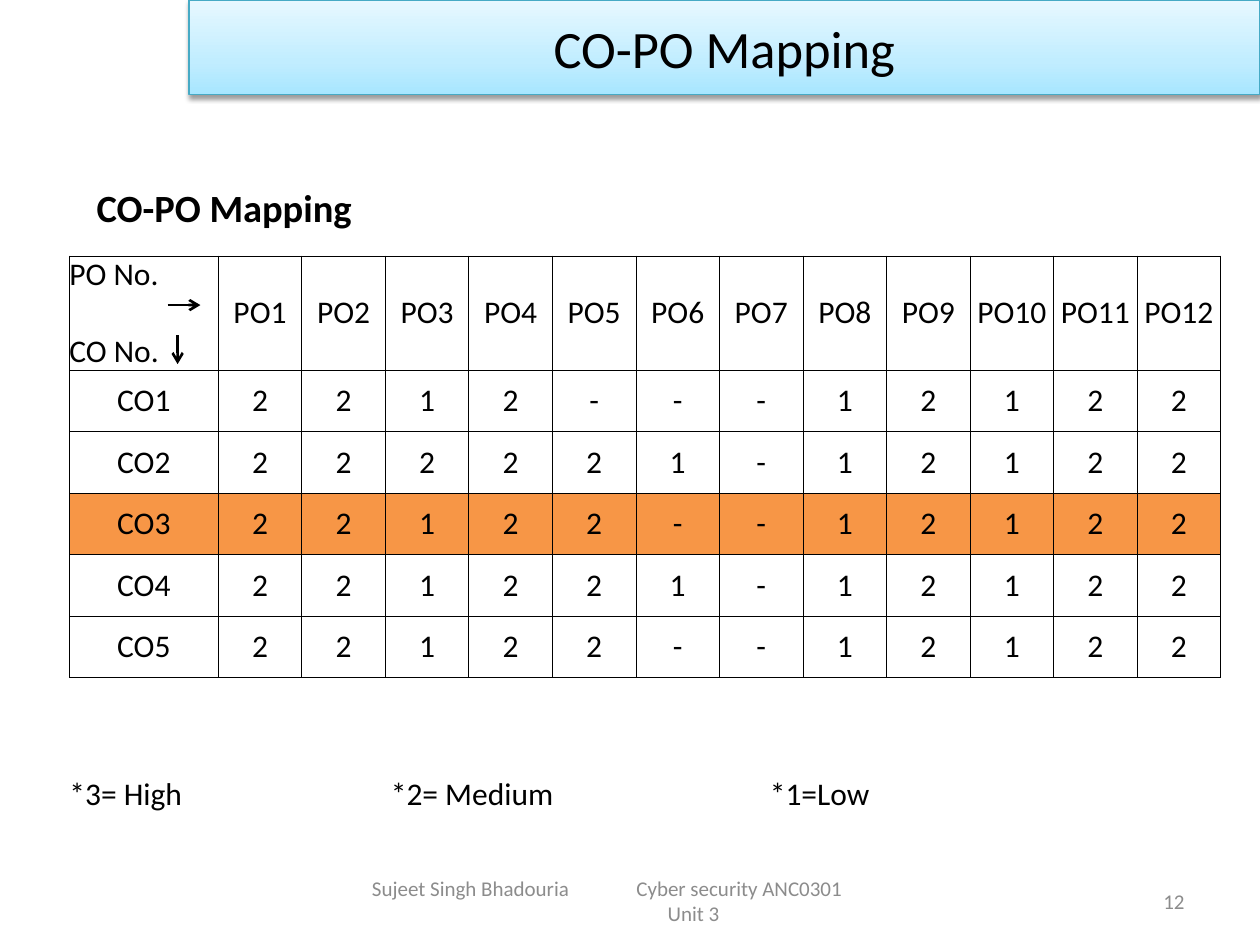
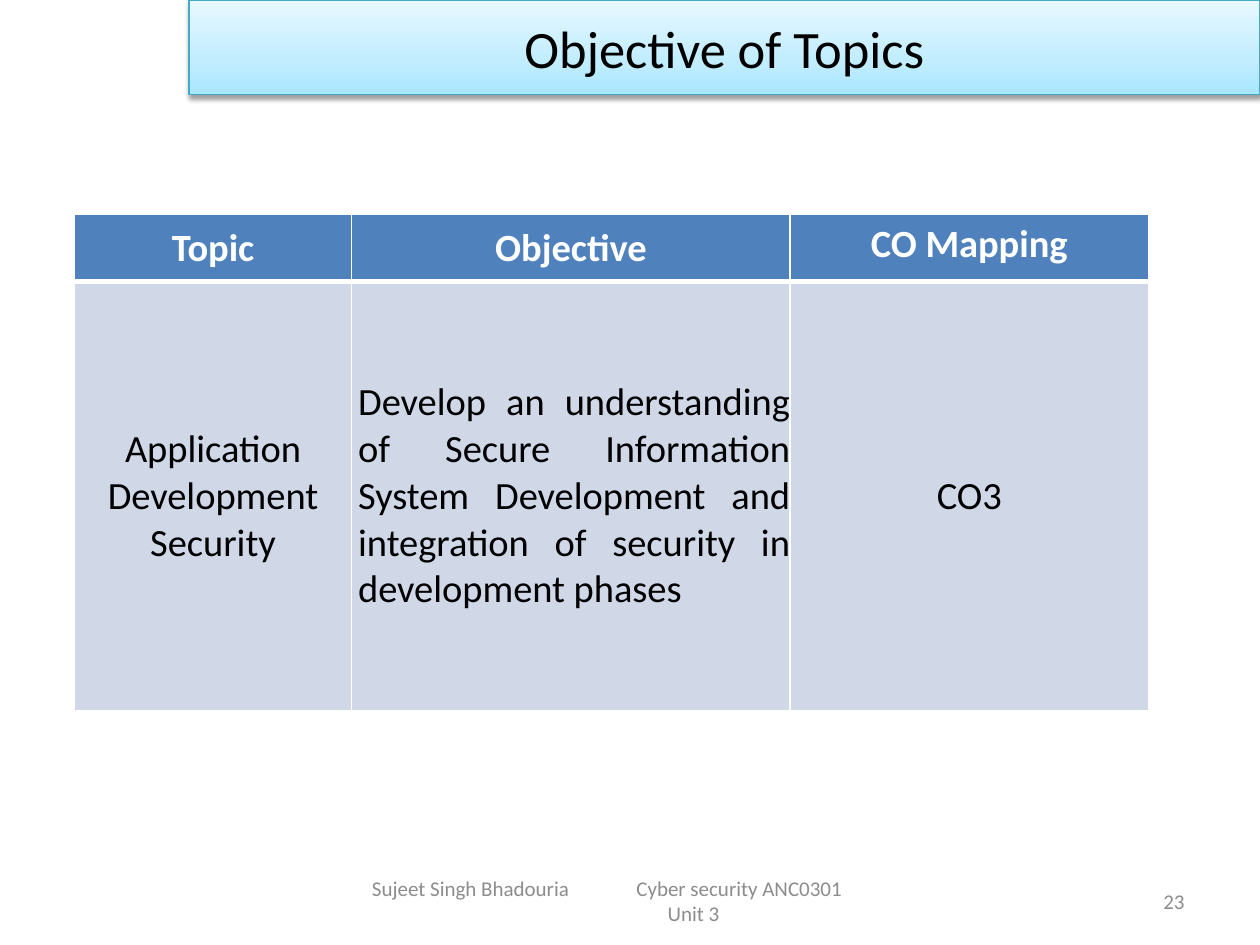
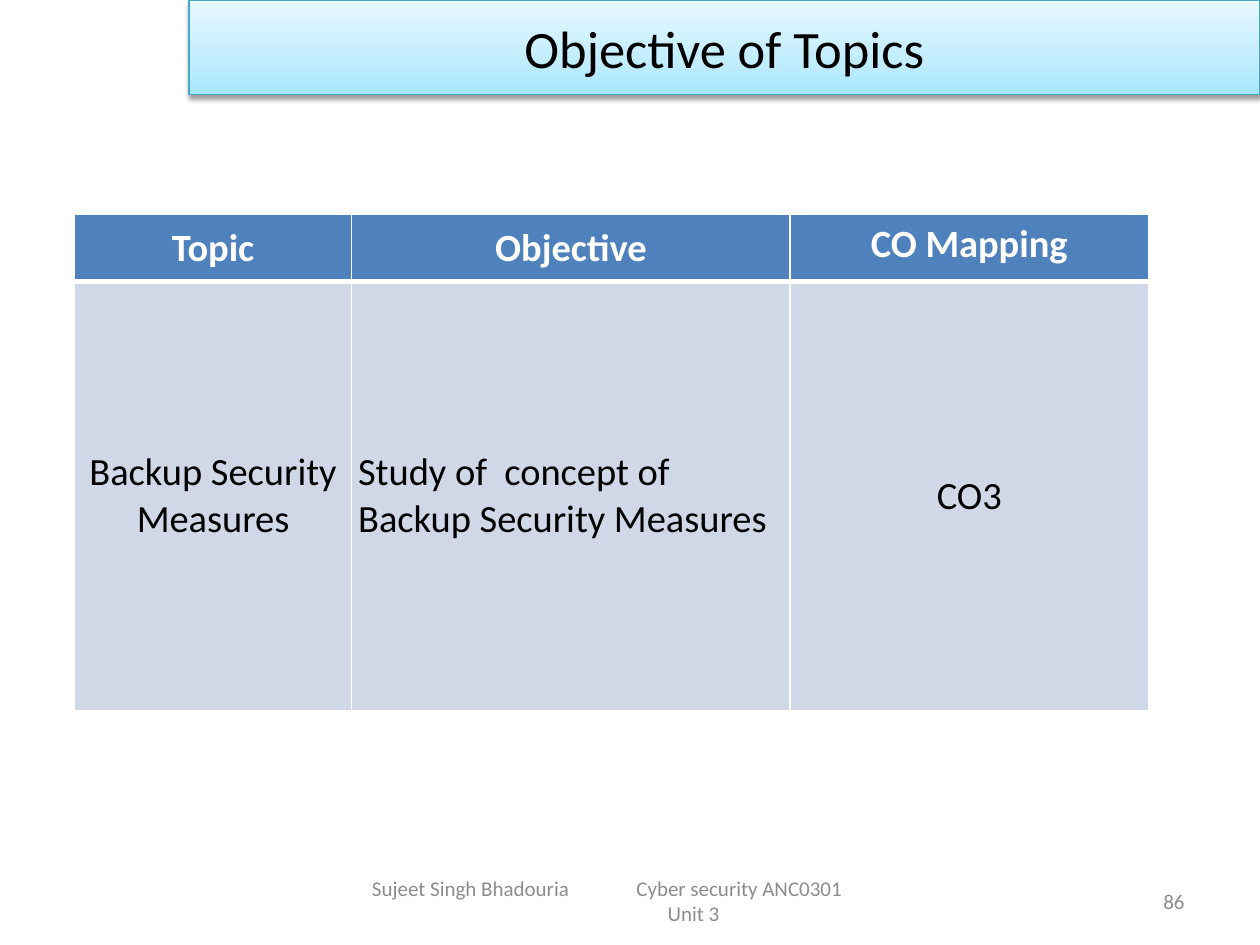
from dataclasses import dataclass
from typing import Optional, Sequence

from lxml.etree import SubElement
from pptx import Presentation
from pptx.dml.color import RGBColor
from pptx.enum.shapes import MSO_CONNECTOR, MSO_SHAPE
from pptx.enum.text import MSO_ANCHOR as Anchor, PP_ALIGN as Align
from pptx.oxml.ns import qn
from pptx.util import Cm, Pt


@dataclass(frozen=True)
class Theme:
    font: str = "Calibri"
    black: str = "000000"
    white: str = "FFFFFF"
    footer_grey: str = "8C8C8C"
    band_line: str = "46AAC5"
    band_stops: tuple = ((0, "A7E6FF"), (35, "C1EDFF"), (100, "E7F8FF"))
    header_blue: str = "4F81BD"
    body_blue: str = "D0D8E8"
    highlight: str = "F79646"
    title_size: int = 30
    heading_size: int = 22
    text_size: int = 18
    footer_size: int = 12


THEME = Theme()


@dataclass(frozen=True)
class Box:
    """Position and size in centimetres."""
    left: float
    top: float
    width: float
    height: float

    def emu(self) -> tuple:
        return Cm(self.left), Cm(self.top), Cm(self.width), Cm(self.height)


@dataclass(frozen=True)
class TextStyle:
    size: int
    color: str = THEME.black
    bold: bool = False
    align: Align = Align.LEFT


@dataclass(frozen=True)
class Borders:
    """Line widths in points of a cell's sides."""
    color: str
    left: float
    right: float
    top: float
    bottom: float


@dataclass(frozen=True)
class CellLook:
    style: TextStyle
    fill: str
    borders: Borders
    insets: tuple = (0, 0, 0, 0)
    anchor: Anchor = Anchor.MIDDLE


@dataclass(frozen=True)
class Topic:
    name: str
    objective: str
    objective_align: Align
    outcome: str
    page: int


BAND = Box(3.81, 0, 21.59, 1.91)
FOOTER = Box(6.99, 17.65, 13.97, 1.02)
PAGE_NUMBER = Box(18.21, 17.65, 5.92, 1.02)
MAPPING_TABLE = Box(1.4, 5.16, 23.22, 8.5)
TOPIC_TABLE = Box(1.5, 4.32, 21.65, 10)

DEFAULT_INSETS = (0.25, 0.13, 0.25, 0.13)
GRID = Borders(THEME.black, 0.5, 0.5, 0.5, 0.5)
HEADER_BORDERS = Borders(THEME.white, 1, 1, 1, 3)
BODY_BORDERS = Borders(THEME.white, 1, 1, 3, 1)

OUTCOMES = {
    "CO1": "2212---12122",
    "CO2": "222221-12122",
    "CO3": "22122--12122",
    "CO4": "221221-12122",
    "CO5": "22122--12122",
}
CURRENT_OUTCOME = "CO3"

TOPICS = (
    Topic("Application Development Security",
          "Develop an understanding of Secure Information System Development "
          "and integration of security in development phases",
          Align.JUSTIFY, "CO3", 23),
    Topic("Backup Security Measures",
          "Study of  concept of Backup Security Measures",
          Align.LEFT, "CO3", 86),
)


def rgb(color: str) -> RGBColor:
    return RGBColor.from_string(color)


def write(text_frame, text: str, style: TextStyle) -> None:
    text_frame.text = text
    for paragraph in text_frame.paragraphs:
        paragraph.alignment = style.align
        for run in paragraph.runs:
            run.font.name = THEME.font
            run.font.size = Pt(style.size)
            run.font.bold = style.bold
            run.font.color.rgb = rgb(style.color)


def set_insets(target, insets: tuple) -> None:
    (target.margin_left, target.margin_top,
     target.margin_right, target.margin_bottom) = map(Cm, insets)


def set_tabs(paragraph, positions: Sequence[float]) -> None:
    properties = paragraph._p.get_or_add_pPr()
    tabs = SubElement(properties, qn("a:tabLst"))
    for position in positions:
        SubElement(tabs, qn("a:tab"), pos=str(Cm(position)), algn="l")


def add_text(slide, box: Box, text: str, style: TextStyle,
             insets: tuple = DEFAULT_INSETS, anchor: Anchor = Anchor.MIDDLE):
    text_frame = slide.shapes.add_textbox(*box.emu()).text_frame
    text_frame.word_wrap = True
    text_frame.vertical_anchor = anchor
    set_insets(text_frame, insets)
    write(text_frame, text, style)
    return text_frame


def add_color(parent, color: str):
    return SubElement(parent, qn("a:srgbClr"), val=color)


def add_title_band(slide, title: str) -> None:
    band = slide.shapes.add_shape(MSO_SHAPE.RECTANGLE, *BAND.emu())
    band.fill.gradient()
    band.fill.gradient_angle = 90
    stops = band._element.spPr.find(qn("a:gradFill")).find(qn("a:gsLst"))
    for stop in list(stops):
        stops.remove(stop)
    for percent, color in THEME.band_stops:
        add_color(SubElement(stops, qn("a:gs"), pos=str(percent * 1000)), color)
    band.line.color.rgb = rgb(THEME.band_line)
    band.line.width = Pt(0.75)
    band.shadow.inherit = False
    effects = band._element.spPr.find(qn("a:effectLst"))
    shadow = SubElement(effects, qn("a:outerShdw"), blurRad=str(Pt(3.1)),
                        dist=str(Pt(1.6)), dir="5400000", rotWithShape="0")
    SubElement(add_color(shadow, THEME.black), qn("a:alpha"), val="38000")
    band.text_frame.vertical_anchor = Anchor.MIDDLE
    write(band.text_frame, title, TextStyle(THEME.title_size, align=Align.CENTER))


def add_base_slide(presentation, title: str, page: int):
    """Add a blank slide with the title band, footer and page number."""
    slide = presentation.slides.add_slide(presentation.slide_layouts[6])
    add_title_band(slide, title)
    footer = add_text(
        slide, FOOTER,
        "Sujeet Singh Bhadouria\tCyber security ANC0301\n\tUnit 3",
        TextStyle(THEME.footer_size, THEME.footer_grey), (0.51, 0.13, 0.25, 0.13))
    for paragraph, position in zip(footer.paragraphs, (5.33, 5.96)):
        set_tabs(paragraph, [position])
    add_text(slide, PAGE_NUMBER, str(page),
             TextStyle(THEME.footer_size, THEME.footer_grey, align=Align.RIGHT))
    return slide


def add_plain_table(slide, box: Box, columns: Sequence[float],
                    rows: Sequence[float]):
    table = slide.shapes.add_table(len(rows), len(columns), *box.emu()).table
    table.first_row = table.horz_banding = False
    for column, width in zip(table.columns, columns):
        column.width = Cm(width)
    for row, height in zip(table.rows, rows):
        row.height = Cm(height)
    return table


def fill_cell(cell, text: str, look: CellLook) -> None:
    write(cell.text_frame, text, look.style)
    cell.vertical_anchor = look.anchor
    set_insets(cell, look.insets)
    borders = look.borders
    properties = cell._tc.get_or_add_tcPr()
    for tag, width in (("a:lnL", borders.left), ("a:lnR", borders.right),
                       ("a:lnT", borders.top), ("a:lnB", borders.bottom)):
        line = SubElement(properties, qn(tag), w=str(Pt(width)))
        add_color(SubElement(line, qn("a:solidFill")), borders.color)
    cell.fill.solid()
    cell.fill.fore_color.rgb = rgb(look.fill)


def add_arrow(slide, start: tuple, end: tuple) -> None:
    arrow = slide.shapes.add_connector(
        MSO_CONNECTOR.STRAIGHT, *map(Cm, start + end))
    arrow.line.color.rgb = rgb(THEME.black)
    arrow.line.width = Pt(1.5)
    SubElement(arrow.line._get_or_add_ln(), qn("a:tailEnd"), type="arrow")
    SubElement(arrow._element.spPr, qn("a:effectLst"))


def add_mapping_table(slide) -> None:
    centred = TextStyle(THEME.text_size, align=Align.CENTER)
    first_width, header_height, row_height = 3, 2.3, 1.24
    po_width = (MAPPING_TABLE.width - first_width) / 12
    table = add_plain_table(slide, MAPPING_TABLE, [first_width] + [po_width] * 12,
                            [header_height] + [row_height] * len(OUTCOMES))

    corner = table.cell(0, 0)
    fill_cell(corner, "PO No.\nCO No.",
              CellLook(TextStyle(THEME.text_size), THEME.white, GRID))
    corner.text_frame.paragraphs[1].space_before = Pt(22)
    header = CellLook(centred, THEME.white, GRID)
    for number in range(1, 13):
        fill_cell(table.cell(0, number), f"PO{number}", header)

    for row, (outcome, levels) in enumerate(OUTCOMES.items(), start=1):
        fill = THEME.highlight if outcome == CURRENT_OUTCOME else THEME.white
        look = CellLook(centred, fill, GRID)
        for column, text in enumerate([outcome, *levels]):
            fill_cell(table.cell(row, column), text, look)


def add_mapping_slide(presentation) -> None:
    slide = add_base_slide(presentation, "CO-PO Mapping", 12)
    add_text(slide, Box(1.19, 3.58, 10.52, 1.83), "CO-PO Mapping",
             TextStyle(THEME.heading_size, bold=True),
             (0.76, 0.13, 0.25, 0), Anchor.TOP)
    add_mapping_table(slide)
    add_arrow(slide, (3.38, 6.15), (4.04, 6.15))
    add_arrow(slide, (3.58, 6.76), (3.58, 7.34))
    legend = add_text(slide, Box(0, 15.47, 24.82, 1.02),
                      "*3= High\t*2= Medium\t*1=Low",
                      TextStyle(THEME.text_size), (1.4, 0.13, 0.25, 0.13))
    set_tabs(legend.paragraphs[0], [6.48, 14.12])


def topic_look(is_header: bool, align: Optional[Align] = Align.CENTER,
               insets: tuple = (0, 0, 0, 0),
               anchor: Anchor = Anchor.MIDDLE) -> CellLook:
    color = THEME.white if is_header else THEME.black
    return CellLook(TextStyle(THEME.heading_size, color, is_header, align),
                    THEME.header_blue if is_header else THEME.body_blue,
                    HEADER_BORDERS if is_header else BODY_BORDERS, insets, anchor)


def add_topic_slide(presentation, topic: Topic) -> None:
    slide = add_base_slide(presentation, "Objective of Topics", topic.page)
    table = add_plain_table(slide, TOPIC_TABLE, (5.59, 8.84, 7.22), (1.36, 8.64))
    rows: Sequence[Sequence[tuple[Optional[str], CellLook]]] = (
        (("Topic", topic_look(True)),
         ("Objective", topic_look(True)),
         ("CO Mapping", topic_look(True, insets=DEFAULT_INSETS, anchor=Anchor.TOP))),
        ((topic.name, topic_look(False)),
         (topic.objective,
          topic_look(False, topic.objective_align, (0.13, 0, 0, 0))),
         (topic.outcome, topic_look(False, insets=DEFAULT_INSETS))),
    )
    for row, cells in enumerate(rows):
        for column, (text, look) in enumerate(cells):
            fill_cell(table.cell(row, column), text, look)


def main() -> None:
    presentation = Presentation()
    presentation.slide_width = Cm(25.4)
    presentation.slide_height = Cm(19.05)
    add_mapping_slide(presentation)
    for topic in TOPICS:
        add_topic_slide(presentation, topic)
    presentation.save("out.pptx")


if __name__ == "__main__":
    main()
